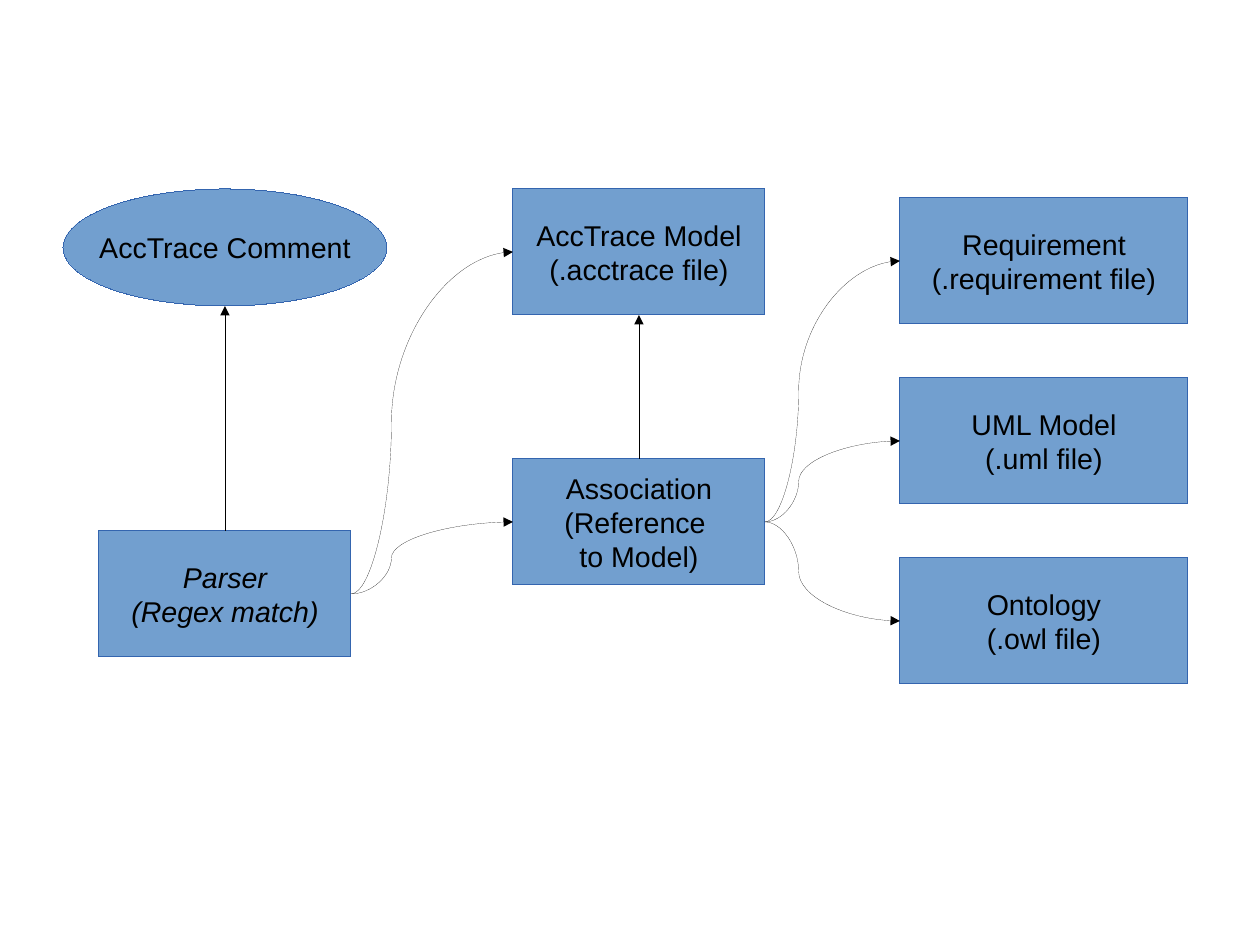
import pptx
import pptx.dml.color
import pptx.enum.shapes
import pptx.enum.text
import pptx.util
from lxml import etree
from pptx.oxml.ns import qn

Inches = pptx.util.Inches
Pt = pptx.util.Pt
SHAPE = pptx.enum.shapes.MSO_SHAPE
CONNECTOR = pptx.enum.shapes.MSO_CONNECTOR

BLUE = pptx.dml.color.RGBColor(0x72, 0x9F, 0xCF)
BORDER = pptx.dml.color.RGBColor(0x34, 0x65, 0xAF)
BLACK = pptx.dml.color.RGBColor(0x00, 0x00, 0x00)

TOP, LEFT, BOTTOM, RIGHT = range(4)
GRID_PER_INCH = 2.54


def grid(units):
    return Inches(units / GRID_PER_INCH)


class Diagram:
    font = "Arial"
    size = Pt(18)
    bend = 25000

    def __init__(self, slide):
        self.slide = slide

    def hairline(self, line, color):
        line.color.rgb = color
        ln = line._get_or_add_ln()
        ln.set("w", "0")
        return ln

    def node(self, x, y, w, h, lines, kind=SHAPE.RECTANGLE, italic=None):
        sp = self.slide.shapes.add_shape(kind, grid(x), grid(y), grid(w), grid(h))
        sp.shadow.inherit = False
        sp.fill.solid()
        sp.fill.fore_color.rgb = BLUE
        self.hairline(sp.line, BORDER)
        tf = sp.text_frame
        tf.word_wrap = False
        tf.vertical_anchor = pptx.enum.text.MSO_ANCHOR.MIDDLE
        for i, line in enumerate(lines):
            p = tf.add_paragraph() if i else tf.paragraphs[0]
            p.alignment = pptx.enum.text.PP_ALIGN.CENTER
            r = p.add_run()
            r.text = line
            r.font.name = self.font
            r.font.size = self.size
            r.font.italic = italic
            r.font.color.rgb = BLACK
        return sp

    def arrow(self, kind, start, start_site, end_x, end_y):
        cx = self.slide.shapes.add_connector(kind, 0, 0, end_x, end_y)
        cx.begin_connect(start, start_site)
        ln = self.hairline(cx.line, BLACK)
        etree.SubElement(ln, qn("a:tailEnd"), type="triangle")
        etree.SubElement(cx._element.spPr, qn("a:effectLst"))
        return cx

    def up_arrow(self, start, end):
        return self.arrow(CONNECTOR.STRAIGHT, start, TOP,
                          start.left + start.width // 2, end.top + end.height)

    def curve(self, start, end):
        cx = self.arrow(CONNECTOR.CURVE, start, RIGHT,
                        end.left, end.top + end.height // 2)
        cx.end_connect(end, LEFT)
        guides = cx._element.spPr.find(qn("a:prstGeom")).get_or_add_avLst()
        etree.SubElement(guides, qn("a:gd"), name="adj1", fmla=f"val {self.bend}")


def main():
    prs = pptx.Presentation()
    prs.slide_width = grid(28)
    prs.slide_height = grid(21)
    s = prs.slides.add_slide(prs.slide_layouts[6])
    d = Diagram(s)

    comment = d.node(1.4, 4.2, 7.2, 2.6, ["AccTrace Comment"], SHAPE.OVAL)
    parser = d.node(2.2, 11.8, 5.6, 2.8, ["Parser", "(Regex match)"], italic=True)
    association = d.node(11.4, 10.2, 5.6, 2.8, ["Association", "(Reference ", "to Model)"])
    model = d.node(11.4, 4.2, 5.6, 2.8, ["AccTrace Model", "(.acctrace file)"])
    artifacts = [
        d.node(20, 4.4 + 4 * i, 6.4, 2.8, lines)
        for i, lines in enumerate([
            ["Requirement", "(.requirement file)"],
            ["UML Model", "(.uml file)"],
            ["Ontology", "(.owl file)"],
        ])
    ]

    d.up_arrow(parser, comment)
    d.up_arrow(association, model).end_connect(model, BOTTOM)
    for target in (model, association):
        d.curve(parser, target)
    for target in artifacts:
        d.curve(association, target)

    prs.save("out.pptx")


if __name__ == "__main__":
    main()
